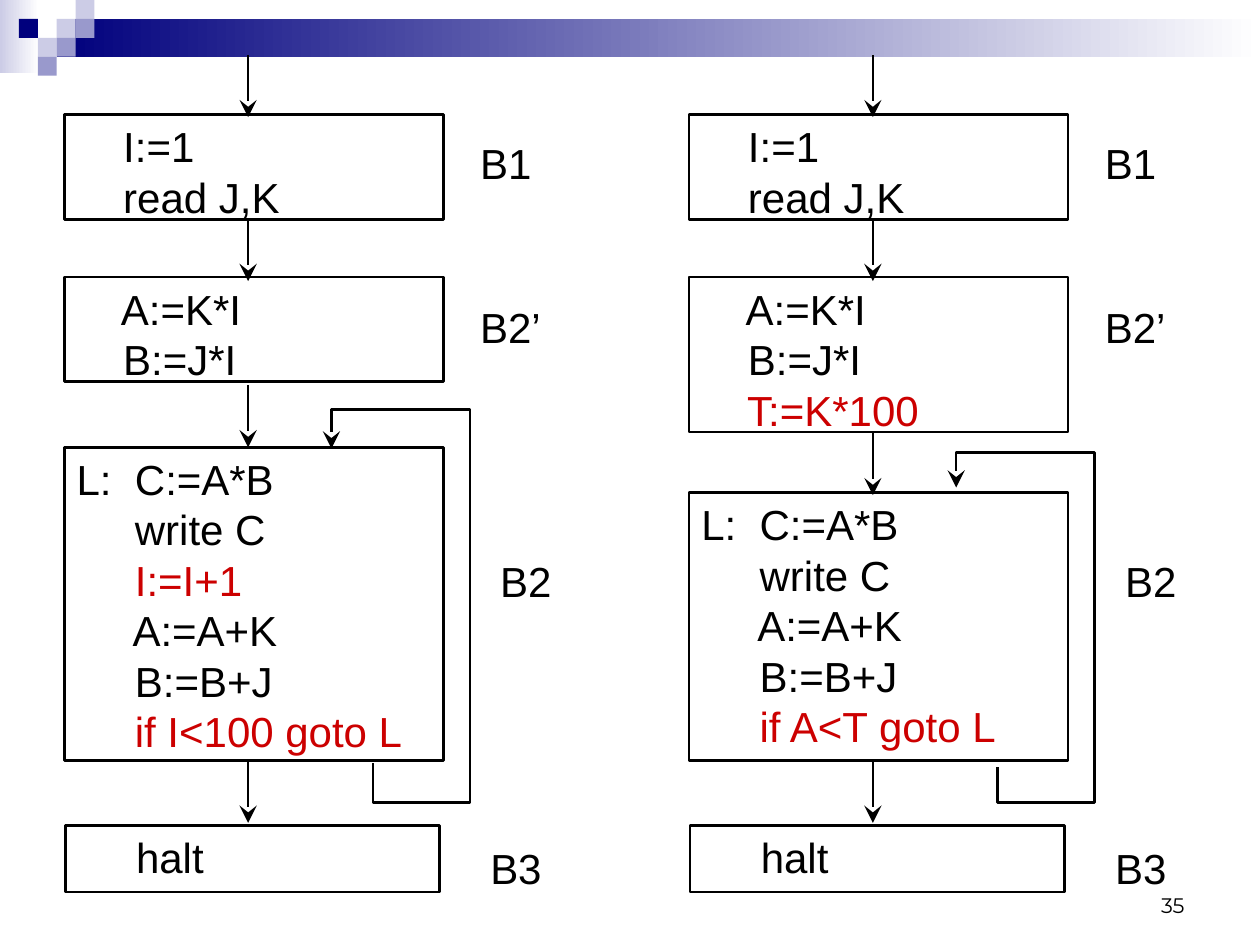
from lxml.etree import SubElement
from pptx import Presentation
from pptx.dml.color import RGBColor
from pptx.enum.shapes import MSO_CONNECTOR as Connector, MSO_SHAPE as Shape
from pptx.enum.text import MSO_ANCHOR as Anchor, PP_ALIGN as Align
from pptx.oxml.ns import qn
from pptx.util import Pt

BLACK, RED, WHITE = "000000", "CC0000", "FFFFFF"
NAVY, LILAC, PERIWINKLE = "00007D", "CCCCE6", "9999CC"
GRID = 10.8
COLUMN_SHIFT = 357
ARROW_LENGTH = 35.3


def color(value):
    return RGBColor.from_string(value)


def add_rectangle(slide, left, top, width, height):
    shape = slide.shapes.add_shape(
        Shape.RECTANGLE, Pt(left), Pt(top), Pt(width), Pt(height))
    shape.shadow.inherit = False
    return shape


def add_gradient_bar(slide, left, top, width, height, start):
    """Add a bar that fades from the start colour to white, left to right."""
    bar = add_rectangle(slide, left, top, width, height)
    bar.line.fill.background()
    bar.fill.gradient()
    bar.fill.gradient_angle = 0
    for stop, value in zip(bar.fill.gradient_stops, (start, WHITE)):
        stop.color.rgb = color(value)


def add_grid_square(slide, column, row, fill):
    square = add_rectangle(slide, column * GRID, row * GRID, GRID, GRID)
    square.fill.solid()
    square.fill.fore_color.rgb = color(fill)
    square.line.fill.background()


def write_lines(shape, text, size=24, font="Arial", align=Align.LEFT,
                anchor=Anchor.TOP, red_lines=(), spacing=28.8):
    frame = shape.text_frame
    frame.word_wrap = True
    frame.vertical_anchor = anchor
    frame.text = text
    for paragraph in frame.paragraphs:
        paragraph.alignment = align
        paragraph.line_spacing = Pt(spacing)
        paragraph.font.size = Pt(size)
        paragraph.font.name = font
        is_red = paragraph.text.strip() in red_lines
        paragraph.font.color.rgb = color(RED if is_red else BLACK)


def add_text(slide, text, left, top, width, height, **text_format):
    box = slide.shapes.add_textbox(Pt(left), Pt(top), Pt(width), Pt(height))
    write_lines(box, text, **text_format)


def add_code_block(slide, code, left, top, width, height, red_lines=()):
    block = add_rectangle(slide, left, top, width, height)
    block.fill.background()
    style_line(block.line)
    write_lines(block, code, red_lines=red_lines)


def style_line(line, arrowhead=False):
    line.color.rgb = color(BLACK)
    line.width = Pt(1.5)
    if arrowhead:
        SubElement(line._get_or_add_ln(), qn("a:tailEnd"),
                   type="stealth", w="lg", len="lg")


def add_down_arrow(slide, x, top):
    arrow = slide.shapes.add_connector(
        Connector.STRAIGHT, Pt(x), Pt(top), Pt(x), Pt(top + ARROW_LENGTH))
    style_line(arrow.line, arrowhead=True)
    SubElement(arrow._element.spPr, qn("a:effectLst"))


def add_loop_arrow(slide, left, start, top, head):
    """Add the jump from below the loop block back to its first line."""
    bottom, inner, outer = 458.6, left + 176.4, left + 231.9
    entry = left + 152.7
    points = [(inner, bottom), (outer, bottom), (outer, top),
              (entry, top), (entry, head)]
    builder = slide.shapes.build_freeform(Pt(inner), Pt(start))
    builder.add_line_segments([(Pt(x), Pt(y)) for x, y in points], close=False)
    loop = builder.convert_to_shape()
    loop.shadow.inherit = False
    loop.fill.background()
    style_line(loop.line, arrowhead=True)


def add_flowchart(slide, left, setup, setup_height, loop_code, loop_top,
                  loop_arrow, third_arrow, red_lines):
    add_code_block(slide, "    I:=1\n    read J,K", left, 65.5, 216.7, 59.8)
    add_code_block(slide, setup, left, 158.4, 216.7, setup_height, red_lines)
    add_code_block(slide, loop_code, left, loop_top, 216.7,
                   434.5 - loop_top, red_lines)
    add_code_block(slide, "     halt", left + 0.7, 471.6, 213.8, 38.2)
    for top in (31.7, 125.3, third_arrow, 434.9):
        add_down_arrow(slide, left + 105.1, top)
    add_loop_arrow(slide, left, *loop_arrow)
    labels = [("B1", 230.6, 74.9), ("B2’", 230.6, 168.5),
              ("B2", 242.1, 313.9), ("B3", 236.4, 478.1)]
    for label, shift, top in labels:
        add_text(slide, label, left + shift, top, 53, 36)


def add_header(slide):
    add_gradient_bar(slide, 0, 0, 22.3, 41.8, LILAC)
    add_gradient_bar(slide, 3 * GRID, GRID, 687.6, 21.6, NAVY)
    squares = [(3, 1, LILAC), (4, 0, LILAC), (4, 1, PERIWINKLE),
               (2, 2, LILAC), (1, 1, NAVY), (3, 2, PERIWINKLE),
               (2, 3, PERIWINKLE)]
    for column, row, fill in squares:
        add_grid_square(slide, column, row, fill)


def main():
    presentation = Presentation()
    presentation.slide_width, presentation.slide_height = Pt(720), Pt(540)
    slide = presentation.slides.add_slide(presentation.slide_layouts[6])
    add_header(slide)

    setup = "    A:=K*I\n    B:=J*I"
    loop_start = "L:  C:=A*B\n     write C\n"
    loop_update = "     A:=A+K\n     B:=B+J\n"
    add_flowchart(
        slide, 36.7, setup, 59.8,
        loop_start + "     I:=I+1\n" + loop_update + "     if I<100 goto L",
        loop_top=255.6, loop_arrow=(436.3, 234, 256.3), third_arrow=220.3,
        red_lines=("I:=I+1", "if I<100 goto L"))
    add_flowchart(
        slide, 36.7 + COLUMN_SHIFT, setup + "\n    T:=K*100", 88.6,
        loop_start + loop_update + "     if A<T goto L",
        loop_top=281.5, loop_arrow=(438.5, 258.5, 278.6), third_arrow=247.7,
        red_lines=("T:=K*100", "if A<T goto L"))

    add_text(slide, "35", 516.2, 491.8, 167.8, 36, size=12, font="Montserrat",
             align=Align.RIGHT, anchor=Anchor.BOTTOM, spacing=14.6)
    presentation.save("out.pptx")


if __name__ == "__main__":
    main()
